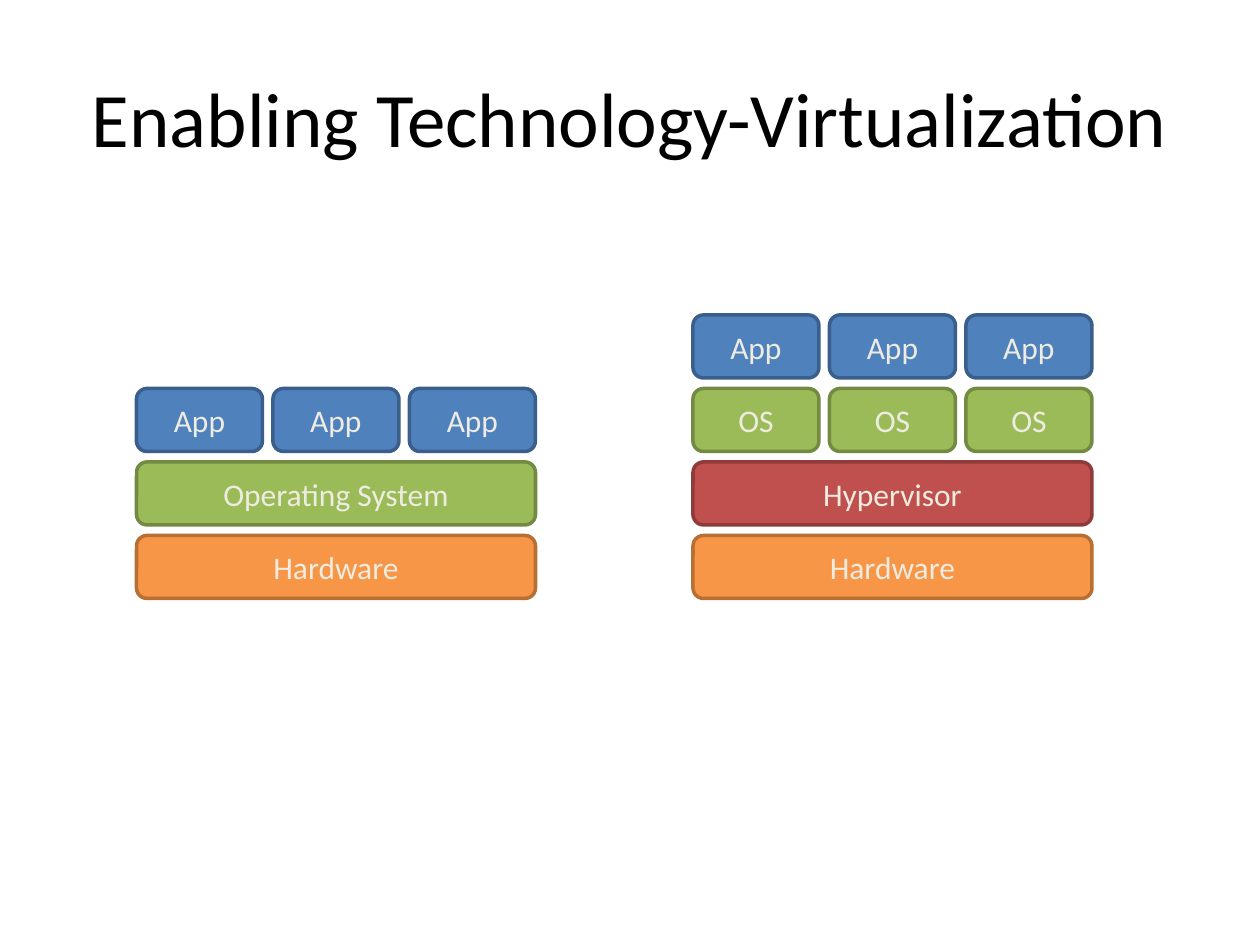
import pptx
import pptx.util
import pptx.dml.color
import pptx.enum.shapes
import pptx.enum.text

COLORS = {
    "title": "000000",
    "label": "EEECE1",
    "hardware": "F79646", "hardware edge": "B76F34",
    "system": "9BBB59", "system edge": "738A42",
    "app": "4F81BD", "app edge": "3A5F8C",
    "hypervisor": "C0504D", "hypervisor edge": "8E3B39",
}

# Grid in twelfths of an inch
UNIT = pptx.util.Inches(1) // 12
COLUMNS = 3
CELL_WIDTH, CELL_HEIGHT, GAP = 12, 6, 1
STACK_WIDTH = COLUMNS * CELL_WIDTH + (COLUMNS - 1) * GAP
BOTTOM_ROW = 51

# Left edge of each stack, then its layers from the bottom up
STACKS = [
    (13, [("hardware", ["Hardware"]),
          ("system", ["Operating System"]),
          ("app", ["App"] * COLUMNS)]),
    (66, [("hardware", ["Hardware"]),
          ("hypervisor", ["Hypervisor"]),
          ("system", ["OS"] * COLUMNS),
          ("app", ["App"] * COLUMNS)]),
]


def rgb(part):
    return pptx.dml.color.RGBColor.from_string(COLORS[part])


def write_centered(frame, text, size, part):
    frame.word_wrap = True
    frame.vertical_anchor = pptx.enum.text.MSO_ANCHOR.MIDDLE
    paragraph = frame.paragraphs[0]
    paragraph.alignment = pptx.enum.text.PP_ALIGN.CENTER
    run = paragraph.add_run()
    run.text = text
    run.font.name = "Calibri"
    run.font.size = pptx.util.Pt(size)
    run.font.color.rgb = rgb(part)


deck = pptx.Presentation()
deck.slide_width = pptx.util.Inches(10)
deck.slide_height = pptx.util.Inches(7.5)
slide = deck.slides.add_slide(deck.slide_layouts[6])

title = slide.shapes.add_textbox(
    int(deck.slide_width * 0.05), int(deck.slide_height * 0.04),
    int(deck.slide_width * 0.9), pptx.util.Inches(1.25))
write_centered(title.text_frame, "Enabling Technology-Virtualization", 44, "title")

for left, layers in STACKS:
    stack = slide.shapes.add_group_shape()
    for level, (part, labels) in enumerate(layers):
        top = BOTTOM_ROW - level * (CELL_HEIGHT + GAP)
        width = STACK_WIDTH if len(labels) == 1 else CELL_WIDTH
        for column, label in enumerate(labels):
            block = stack.shapes.add_shape(
                pptx.enum.shapes.MSO_SHAPE.ROUNDED_RECTANGLE,
                (left + column * (CELL_WIDTH + GAP)) * UNIT, top * UNIT,
                width * UNIT, CELL_HEIGHT * UNIT)
            block.shadow.inherit = False
            block.fill.solid()
            block.fill.fore_color.rgb = rgb(part)
            block.line.color.rgb = rgb(part + " edge")
            block.line.width = pptx.util.Pt(2)
            write_centered(block.text_frame, label, 18, "label")

deck.save("out.pptx")
